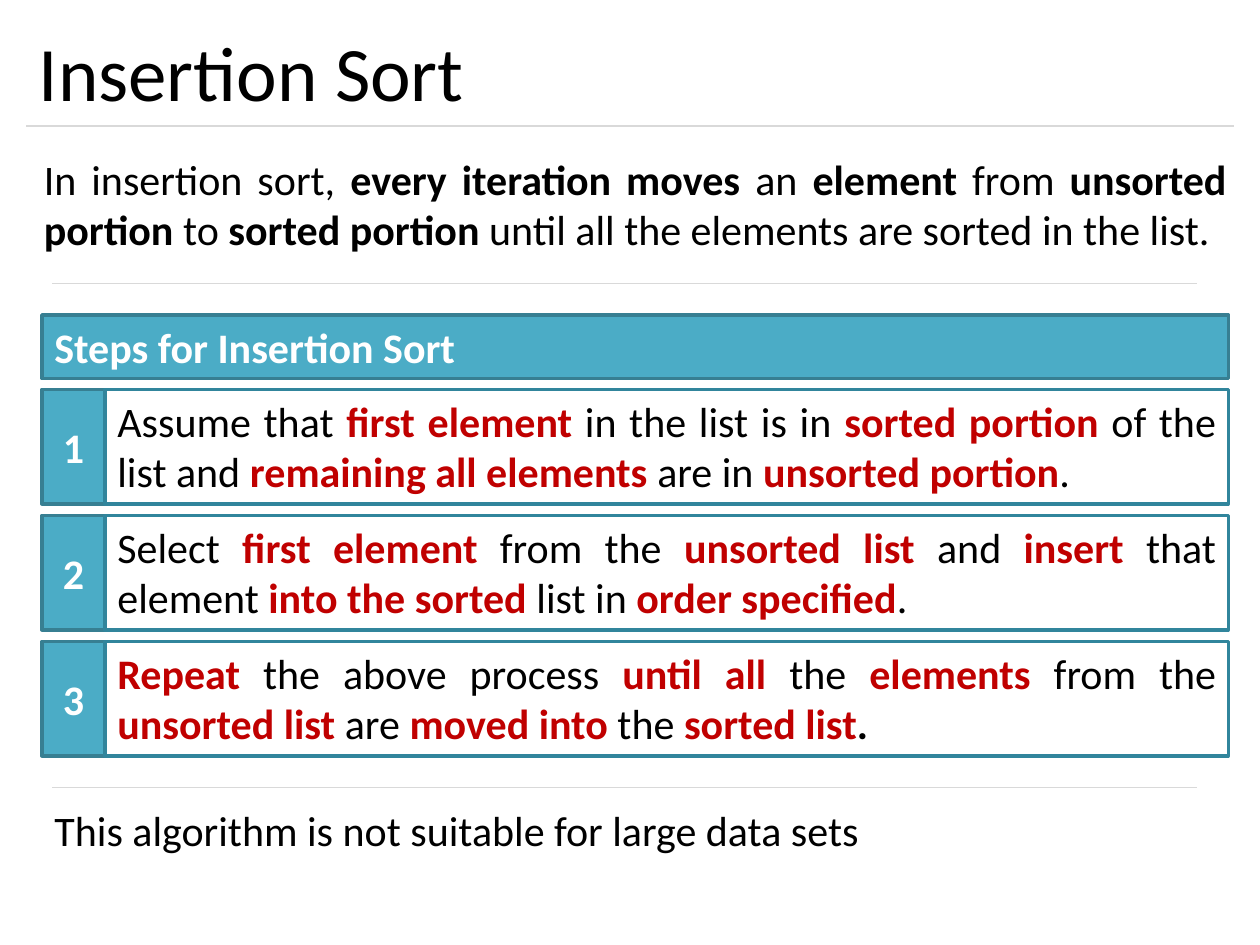
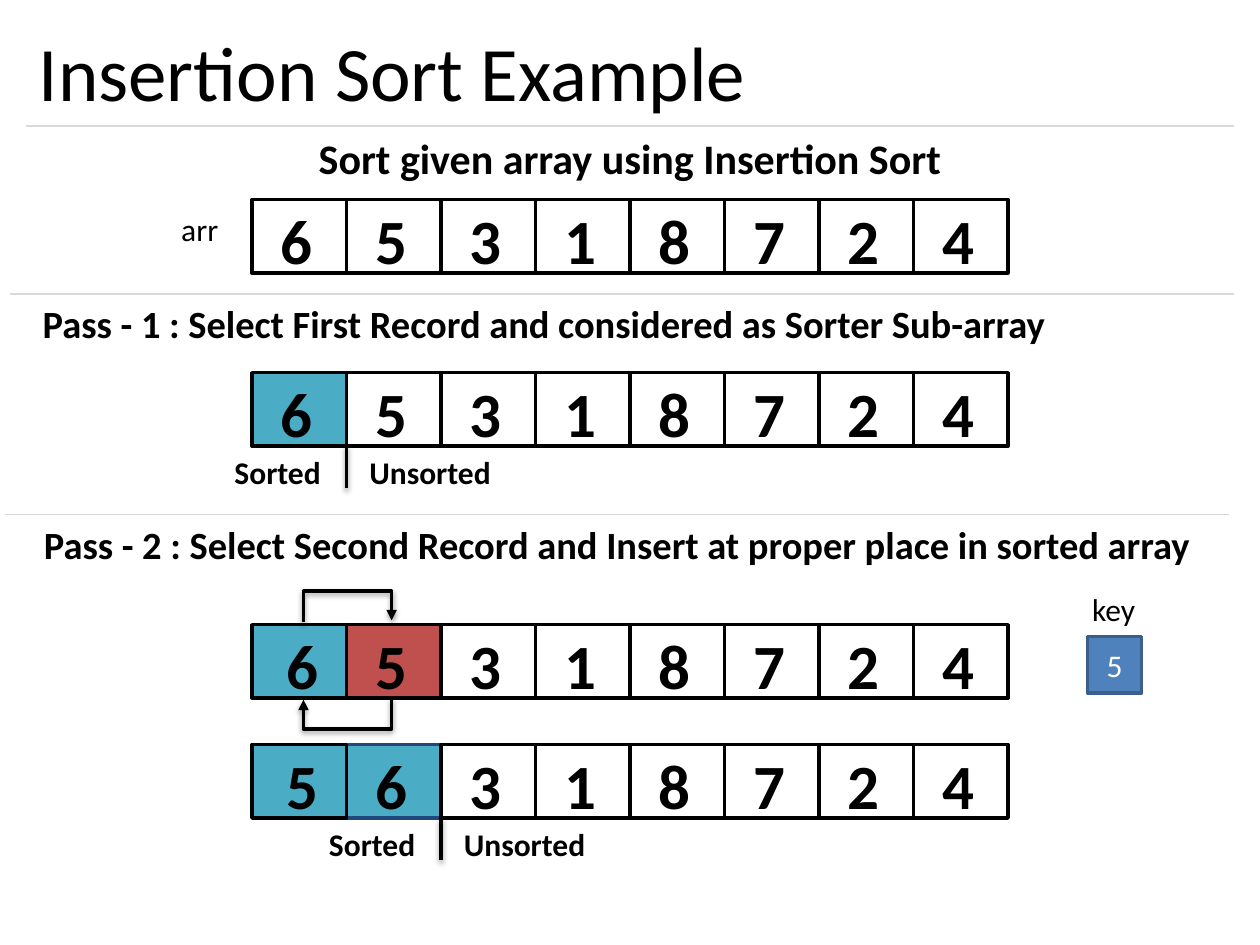
"""Build two slides that explain insertion sort."""
import pptx
import pptx.dml.color
import pptx.enum.shapes
import pptx.enum.text
import pptx.oxml
import pptx.oxml.ns
import pptx.util

Pt = pptx.util.Pt
ALIGN = pptx.enum.text.PP_ALIGN
ANCHOR = pptx.enum.text.MSO_ANCHOR
CONNECTOR = pptx.enum.shapes.MSO_CONNECTOR

FONT = "Calibri"
BLACK, WHITE, GREY = "000000", "FFFFFF", "D9D9D9"
TEAL, TEAL_EDGE, STEP_EDGE = "4BACC6", "377F92", "31859C"
RED, DARK_RED, NAVY = "C0504D", "C00000", "1F497D"
KEY_BLUE, KEY_EDGE = "4F81BD", "3A5F8C"

ROW_LEFT, CELL_WIDTH, CELL_HEIGHT = 144, 54, 42
SHADOW = (
    '<a:effectLst %s><a:outerShdw blurRad="40000" dist="20000" dir="5400000" '
    'rotWithShape="0"><a:srgbClr val="000000"><a:alpha val="38000"/></a:srgbClr>'
    "</a:outerShdw></a:effectLst>"
)


def rgb(color):
    """Turn a hex string into a colour."""
    return pptx.dml.color.RGBColor.from_string(color)


def drawing_element(markup):
    """Parse drawing markup whose %s stands for the namespace."""
    return pptx.oxml.parse_xml(markup % pptx.oxml.ns.nsdecls("a"))


def format_run(run, size, color=BLACK, bold=False):
    """Set the font of one run."""
    run.font.name = FONT
    run.font.size = Pt(size)
    run.font.bold = bold
    run.font.color.rgb = rgb(color)


def write(shape, text, size, color=BLACK, bold=False, align=ALIGN.LEFT, anchor=ANCHOR.TOP):
    """Put one uniformly formatted paragraph into a shape."""
    frame = shape.text_frame
    frame.text = text
    frame.vertical_anchor = anchor
    paragraph = frame.paragraphs[0]
    paragraph.alignment = align
    format_run(paragraph.runs[0], size, color, bold)


def write_marked(shape, text, strong_color):
    """Write a justified paragraph with the parts between asterisks strong."""
    shape.text_frame.vertical_anchor = ANCHOR.TOP
    paragraph = shape.text_frame.paragraphs[0]
    paragraph.alignment = ALIGN.JUSTIFY
    for index, part in enumerate(text.split("*")):
        if part:
            run = paragraph.add_run()
            run.text = part
            strong = index % 2 == 1
            format_run(run, 24, strong_color if strong else BLACK, strong)
    return paragraph


def add_text_box(slide, left, top, width, height, wrap=False):
    """Add an empty text box that grows with its text."""
    box = slide.shapes.add_textbox(Pt(left), Pt(top), Pt(width), Pt(height))
    box.text_frame.word_wrap = wrap
    box.text_frame.auto_size = pptx.enum.text.MSO_AUTO_SIZE.SHAPE_TO_FIT_TEXT
    return box


def add_label(slide, text, left, top, width, height, size, bold=True, align=ALIGN.LEFT):
    """Add a one-line text box."""
    write(add_text_box(slide, left, top, width, height), text, size, BLACK, bold, align)


def add_rectangle(slide, left, top, width, height, fill, edge):
    """Add a flat rectangle with a 2 pt outline."""
    rectangle = slide.shapes.add_shape(
        pptx.enum.shapes.MSO_SHAPE.RECTANGLE, Pt(left), Pt(top), Pt(width), Pt(height)
    )
    rectangle.shadow.inherit = False
    rectangle.fill.solid()
    rectangle.fill.fore_color.rgb = rgb(fill)
    rectangle.line.color.rgb = rgb(edge)
    rectangle.line.width = Pt(2)
    return rectangle


def add_line(slide, start, end, color=GREY, width=0.75, kind=CONNECTOR.STRAIGHT, effect="<a:effectLst %s/>"):
    """Add a connector between two points."""
    line = slide.shapes.add_connector(kind, *map(Pt, start + end))
    line.line.color.rgb = rgb(color)
    line.line.width = Pt(width)
    line.element.spPr.append(drawing_element(effect))
    return line


def add_swap_arrow(slide, center_y, above):
    """Add a shadowed elbow arrow between the first two cells of a row."""
    center_x, half_span, half_gap = ROW_LEFT + CELL_WIDTH + 0.6, 25.2, 0.5
    ends = [
        (center_x - half_gap, center_y - half_span),
        (center_x + half_gap, center_y + half_span),
    ]
    start, end = reversed(ends) if above else ends
    arrow = add_line(slide, start, end, BLACK, 2, CONNECTOR.ELBOW, SHADOW)
    properties = arrow.element.spPr
    properties.find(pptx.oxml.ns.qn("a:xfrm")).set("rot", "5400000")
    adjustments = properties.find(".//" + pptx.oxml.ns.qn("a:avLst"))
    if adjustments is None:
        adjustments = drawing_element("<a:avLst %s/>")
        properties.find(pptx.oxml.ns.qn("a:prstGeom")).append(adjustments)
    adjustments.append(drawing_element('<a:gd %s name="adj1" fmla="val 1780000"/>'))
    outline = properties.find(pptx.oxml.ns.qn("a:ln"))
    outline.append(drawing_element('<a:tailEnd %s type="triangle"/>'))


def add_array(slide, top, digits, fills=(), edges=(BLACK,) * 8, first_inset=16.5):
    """Draw a row of array cells, coloured outlines behind black ones."""
    cells = list(enumerate(digits))
    for index, digit in sorted(cells, key=lambda cell: edges[cell[0]] == BLACK):
        fill = fills[index] if index < len(fills) else WHITE
        left = ROW_LEFT + index * CELL_WIDTH
        cell = add_rectangle(slide, left, top, CELL_WIDTH, CELL_HEIGHT, fill, edges[index])
        write(cell, digit, 36, bold=True, anchor=ANCHOR.MIDDLE)
        frame = cell.text_frame
        frame.margin_left = Pt(16.5 if index else first_inset)
        frame.margin_top = Pt(3)
        frame.margin_right = frame.margin_bottom = 0


def add_boundary(slide, row_top, sorted_count):
    """Mark where the sorted part of a row ends."""
    x = ROW_LEFT + sorted_count * CELL_WIDTH
    y = row_top + CELL_HEIGHT
    add_line(slide, (x, y), (x, y + 24), BLACK, 2, effect=SHADOW)
    add_label(slide, "Sorted", x - 76, y + 0.5, 68.4, 29, 18, align=ALIGN.RIGHT)
    add_label(slide, "Unsorted", x + 6, y + 0.5, 88.5, 29, 18)


def add_titled_slide(presentation, text):
    """Add a slide with its title and the rule under it."""
    slide = presentation.slides.add_slide(presentation.slide_layouts[5])
    title = slide.shapes.title
    title.left, title.top, title.width, title.height = map(Pt, (15, 9, 690, 63))
    write(title, text, 44, anchor=ANCHOR.MIDDLE)
    add_line(slide, (15, 72), (705, 72))
    return slide


def add_step(slide, number, top, text):
    """Add a numbered step and return its paragraph."""
    badge = add_rectangle(slide, 24, top, 36, 65.4, TEAL, TEAL_EDGE)
    write(badge, str(number), 24, WHITE, True, ALIGN.CENTER, ANCHOR.MIDDLE)
    panel = add_rectangle(slide, 60, top, 642, 65.4, WHITE, STEP_EDGE)
    return write_marked(panel, text, DARK_RED)


def build_steps_slide(presentation):
    """Build the slide that lists the steps."""
    slide = add_titled_slide(presentation, "Insertion Sort")
    write_marked(
        add_text_box(slide, 18, 84, 690, 65.4, wrap=True),
        "In insertion sort, *every iteration moves* an *element* from *unsorted portion* "
        "to *sorted portion* until all the elements are sorted in the list.",
        BLACK,
    )
    heading = add_rectangle(slide, 24, 180, 678, 36.3, TEAL, TEAL_EDGE)
    write(heading, "Steps for Insertion Sort", 24, WHITE, True)
    steps = (
        "Assume that *first element* in the list is in *sorted portion* of the list and "
        "*remaining all elements *are in *unsorted portion*.",
        "Select *first element* from the *unsorted list* and *insert* that element "
        "*into the sorted *list in *order specified*.",
        "*Repeat *the above process *until all *the *elements *from the *unsorted list* "
        "are *moved into* the *sorted list*.",
    )
    for index, text in enumerate(steps):
        paragraph = add_step(slide, index + 1, 222.5 + 72 * index, text)
    paragraph.runs[-1].font.bold = True
    closing = add_text_box(slide, 24, 456, 678, 36.3, wrap=True)
    write(closing, "This algorithm is not suitable for large data sets", 24)
    for y in (162, 450):
        add_line(slide, (30, y), (684, y))


def build_example_slide(presentation):
    """Build the slide that works through two passes."""
    slide = add_titled_slide(presentation, "Insertion Sort Example")
    given_top, first_top, second_top, result_top = 114, 213, 357, 425.5
    add_label(slide, "Sort given array using Insertion Sort", 173, 72, 374, 36.3, 24, align=ALIGN.CENTER)
    add_array(slide, given_top, "65318724")
    add_label(slide, "arr", 96.5, 116.6, 36, 29, 18, bold=False)

    add_line(slide, (6, 168), (705, 168))
    add_label(slide, "Pass - 1 : Select First Record and considered as Sorter Sub-array", 17.3, 168, 595, 34, 22)
    add_array(slide, first_top, "65318724", [TEAL])
    add_boundary(slide, first_top, 1)

    add_line(slide, (3, 294), (702, 294))
    add_label(
        slide, "Pass - 2 : Select Second Record and Insert at proper place in sorted array", 18, 294, 678, 34, 22
    )
    add_array(slide, second_top, "65318724", [TEAL, RED], first_inset=19.5)
    add_swap_arrow(slide, second_top - 2, above=True)
    add_swap_arrow(slide, second_top + CELL_HEIGHT + 0.3, above=False)
    result_edges = [BLACK, NAVY] + [BLACK] * 6
    add_array(slide, result_top, "56318724", [TEAL, TEAL], result_edges, 19.5)
    add_boundary(slide, result_top, 2)

    add_label(slide, "key", 617, 333.4, 39.6, 29, 18, bold=False)
    key = add_rectangle(slide, 621.4, 363.6, 31, 32.4, KEY_BLUE, KEY_EDGE)
    write(key, "5", 18, WHITE, align=ALIGN.CENTER, anchor=ANCHOR.MIDDLE)


def main():
    """Build and save the presentation."""
    presentation = pptx.Presentation()
    presentation.slide_width, presentation.slide_height = Pt(720), Pt(540)
    build_steps_slide(presentation)
    build_example_slide(presentation)
    presentation.save("out.pptx")


if __name__ == "__main__":
    main()
